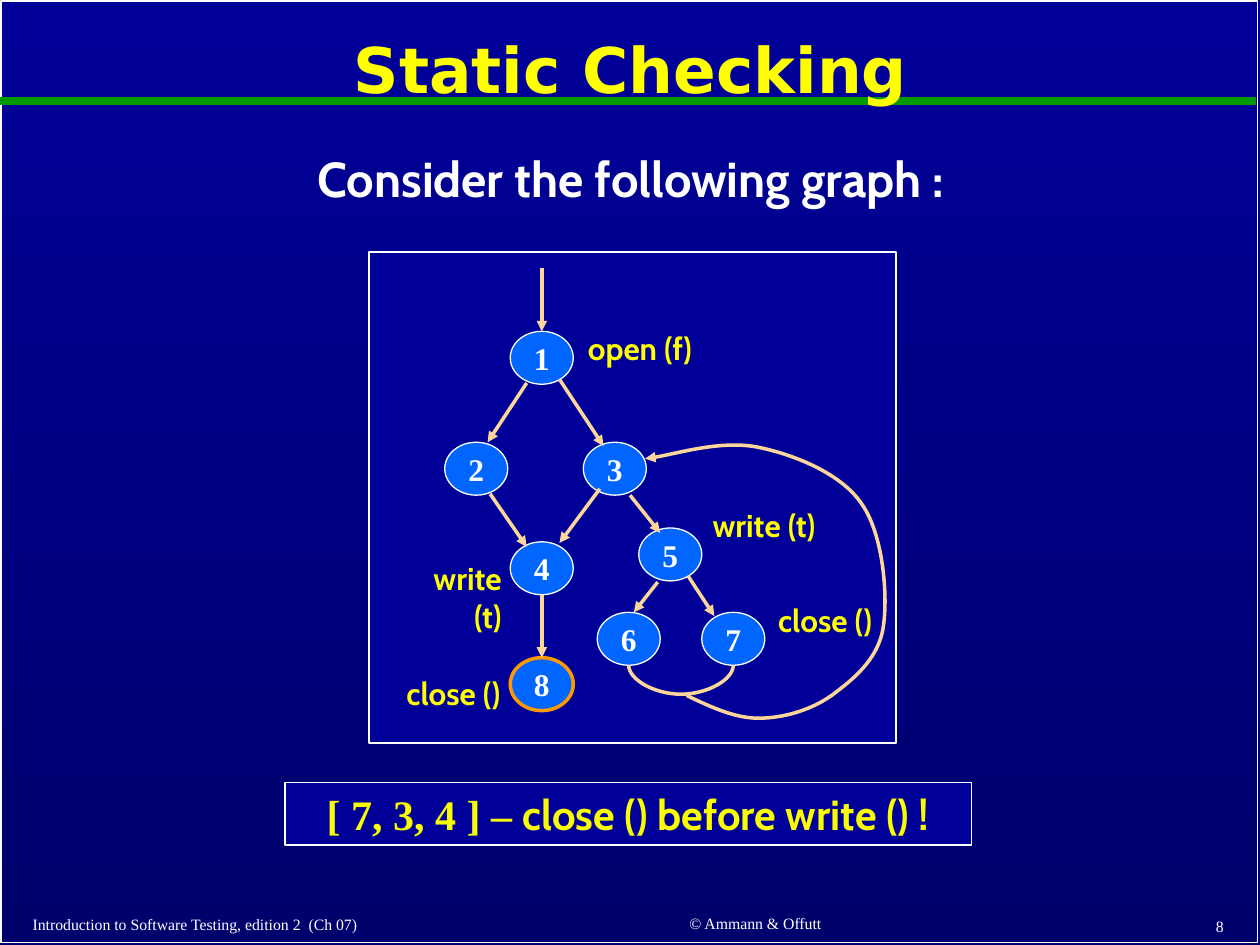
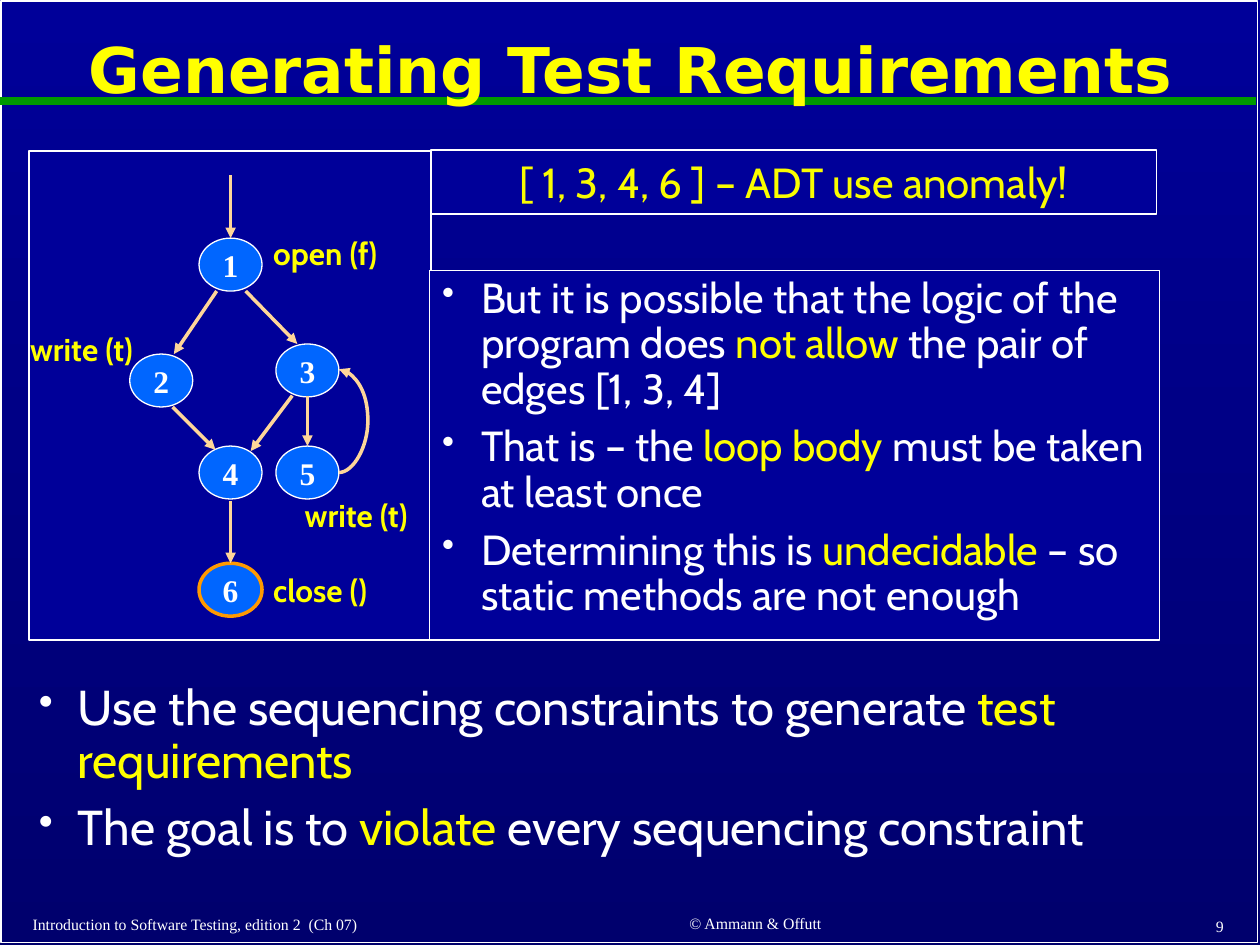
from dataclasses import dataclass

from lxml import etree
from pptx import Presentation
from pptx import util as u
from pptx.dml.color import RGBColor
from pptx.enum import shapes, text
from pptx.oxml import ns


@dataclass(frozen=True)
class Theme:
    sky: str = "000099"
    depth: str = "00006D"
    ink: str = "FFFFFF"
    accent: str = "FFFF00"
    verdict: str = "FAFD00"
    rule: str = "009900"
    node: str = "0066FF"
    final: str = "FF9900"
    edge: str = "FED699"
    heading: str = "DejaVu Sans"
    body: str = "Cabin"
    serif: str = "Times New Roman"


T = Theme()
LEFT, CENTER, RIGHT = text.PP_ALIGN.LEFT, text.PP_ALIGN.CENTER, text.PP_ALIGN.RIGHT

STYLES = {
    "title": dict(name=T.heading, size=36, color=T.accent, bold=True, align=CENTER, spacing=0.9, middle=True),
    "lead": dict(name=T.body, size=28, color=T.ink, bold=True, align=CENTER, spacing=0.9),
    "footer": dict(name=T.serif, size=9, color=T.ink, middle=True),
    "node": dict(name=T.serif, size=18, color=T.ink, bold=True, align=CENTER, middle=True, inset=0),
    "label": dict(name=T.body, size=18, color=T.accent, bold=True),
    "path": dict(name=T.serif, size=24, color=T.verdict, bold=True, align=CENTER, accent=dict(name=T.body)),
    "anomaly": dict(name=T.body, size=24, color=T.verdict, align=CENTER),
    "points": dict(name=T.body, size=24, color=T.ink, spacing=0.9, bullet=True, accent=dict(color=T.accent)),
    "goals": dict(name=T.body, size=28, color=T.ink, spacing=0.9, bullet=True, accent=dict(color=T.accent)),
}

BOOK = "Introduction to Software Testing, edition 2  (Ch 07)"
AUTHORS = "© Ammann & Offutt"
NODE_SIZE = (0.5, 0.42)


def bulge(start, end, dx, dy):
    (x1, y1), (x2, y2) = start, end
    mid = ((x1 + x2) / 2 + dx, (y1 + y2) / 2 + dy)

    def toward(x, y):
        half = (x + dx / 2, y + dy / 2)
        full = (x + dx, y + dy)
        return half, ((full[0] + mid[0]) / 2, (full[1] + mid[1]) / 2)

    leave, enter = toward(x1, y1), toward(x2, y2)
    return [start, *leave, mid, *reversed(enter), end]


SLIDES = [
    dict(
        number="8",
        title="Static Checking",
        graph=dict(
            frame=(2.93, 2, 4.18, 3.9),
            nodes={"1": (4.05, 2.63), "2": (3.53, 3.51), "3": (4.63, 3.51), "4": (4.05, 4.3),
                   "5": (5.07, 4.19), "6": (4.74, 4.86), "7": (5.57, 4.86), "8": (4.05, 5.22)},
            final="8",
            edges=[((4.3, 2.13), "1"), ((4.18, 3.04), (3.87, 3.51)), ((4.44, 3.01), (4.79, 3.54)),
                   ((3.89, 3.92), (4.18, 4.34)), ((4.76, 3.88), (4.44, 4.31)), ((5, 3.93), (5.24, 4.23)),
                   ((4.3, 4.72), "8"), ((5.22, 4.62), (5.03, 4.86)), ((5.46, 4.57), (5.67, 4.89))],
            curves=[
                (bulge((4.99, 5.28), (5.82, 5.28), 0, 0.23), False),
                ([(5.45, 5.52), (5.64, 5.61), (5.83, 5.7), (6.02, 5.7), (6.21, 5.7), (6.43, 5.64),
                  (6.6, 5.52), (6.76, 5.4), (6.97, 5.24), (7.01, 4.98), (7.05, 4.73), (7.01, 4.24),
                  (6.84, 4), (6.68, 3.76), (6.31, 3.61), (6.02, 3.55), (5.73, 3.49), (5.27, 3.63),
                  (5.12, 3.64)], True),
            ],
            label_align=RIGHT,
            labels=[("open (f)", (4.42, 2.56, 1.17, 0.4)), ("write (t)", (3.07, 4.39, 1.01, 0.71)),
                    ("write (t)", (5.42, 3.97, 1.15, 0.4)), ("close ()", (5.85, 4.72, 1.17, 0.4)),
                    ("close ()", (2.9, 5.3, 1.17, 0.4))],
        ),
        texts=[("lead", (0.39, 1.18, 9.23, 0.52), [["Consider the following graph :"]])],
        panels=[("path", (2.26, 6.21, 5.45, 0.5), 1, [["[ 7, 3, 4 ] – ", "close () before write () !"]])],
    ),
    dict(
        number="9",
        title="Generating Test Requirements",
        graph=dict(
            frame=(0.23, 1.2, 3.19, 3.88),
            nodes={"1": (1.58, 1.89), "2": (1.03, 2.81), "3": (2.19, 2.73),
                   "4": (1.58, 3.54), "5": (2.19, 3.54), "6": (1.58, 4.47)},
            final="6",
            edges=[((1.83, 1.39), "1"), ((1.72, 2.31), (1.38, 2.81)), ((1.95, 2.31), (2.36, 2.73)),
                   ((1.37, 3.23), (1.71, 3.57)), ((2.32, 3.14), (1.99, 3.58)), ((2.44, 3.14), "5"),
                   ((1.83, 3.98), "6")],
            curves=[(bulge((2.69, 3.75), (2.69, 2.93), 0.23, 0), True)],
            label_align=LEFT,
            labels=[("open (f)", (2.07, 1.81, 1.17, 0.4)), ("write (t)", (0.14, 2.57, 1.17, 0.4)),
                    ("write (t)", (2.32, 3.89, 1.17, 0.4)), ("close ()", (2.07, 4.48, 1.17, 0.4))],
        ),
        texts=[("goals", (0.21, 5.37, 9.52, 1.54), [
            ["Use the sequencing constraints to generate ", "test requirements"],
            ["The goal is to ", "violate", " every sequencing constraint"],
        ])],
        panels=[
            ("anomaly", (3.42, 1.19, 5.76, 0.51), 1, [["[ 1, 3, 4, 6 ] – ADT use anomaly!"]]),
            ("points", (3.41, 2.15, 5.79, 2.93), 0.75, [
                ["But it is possible that the logic of the program does ", "not allow ",
                 "the pair of edges [1, 3, 4]"],
                ["That is – the ", "loop body", " must be taken at least once"],
                ["Determining this is ", "undecidable", " – so static methods are not enough"],
            ]),
        ],
    ),
]


def inches(values):
    return [u.Inches(v) for v in values]


def rgb(value):
    return RGBColor.from_string(value)


def add_xml(parent, tag, **attributes):
    return etree.SubElement(parent, ns.qn(tag), attributes)


def apply(target, values):
    for attribute, value in values.items():
        setattr(target, attribute, value)


def write(holder, style_name, paragraphs, **changes):
    style = {**STYLES[style_name], **changes}
    frame = holder.text_frame
    inset = style.get("inset")
    margins = (0.1, 0.05, 0.1, 0.05) if inset is None else (inset,) * 4
    sides = ("margin_left", "margin_top", "margin_right", "margin_bottom")
    anchor = text.MSO_ANCHOR.MIDDLE if style.get("middle") else text.MSO_ANCHOR.TOP
    apply(frame, dict(zip(sides, inches(margins)), word_wrap=inset is None, vertical_anchor=anchor))
    for index, pieces in enumerate(paragraphs):
        paragraph = frame.add_paragraph() if index else frame.paragraphs[0]
        apply(paragraph, dict(alignment=style.get("align", LEFT), line_spacing=style.get("spacing", 1.0)))
        if index:
            paragraph.space_before = u.Pt(0.3 * style["size"])
        if style.get("bullet"):
            properties = paragraph._p.get_or_add_pPr()
            indent = u.Inches(0.31)
            properties.set("marL", str(indent))
            properties.set("indent", str(-indent))
            add_xml(properties, "a:buSzPct", val="85000")
            add_xml(properties, "a:buChar", char="•")
        for position, piece in enumerate(pieces):
            look = {**style, **(style["accent"] if position % 2 else {})}
            run = paragraph.add_run()
            run.text = piece
            apply(run.font, dict(name=look["name"], size=u.Pt(look["size"]), bold=look.get("bold", False)))
            run.font.color.rgb = rgb(look["color"])


def add_text(slide, style_name, place, paragraphs, **changes):
    write(slide.shapes.add_textbox(*inches(place)), style_name, paragraphs, **changes)


def stroke(shape, color, width, arrow=False):
    shape.line.color.rgb = rgb(color)
    shape.line.width = u.Pt(width)
    if arrow:
        add_xml(shape.line._ln, "a:tailEnd", type="triangle")


def add_panel(slide, kind, place, fill, line, width):
    panel = slide.shapes.add_shape(kind, *inches(place))
    panel.shadow.inherit = False
    if fill:
        panel.fill.solid()
        panel.fill.fore_color.rgb = rgb(fill)
    else:
        panel.fill.background()
    stroke(panel, line, width)
    return panel


def add_line(slide, start, end, color, width, arrow=False):
    line = slide.shapes.add_connector(shapes.MSO_CONNECTOR.STRAIGHT, *inches((*start, *end)))
    stroke(line, color, width, arrow)
    add_xml(line._element.spPr, "a:effectLst")
    return line


def add_curve(slide, points, arrow):
    start, *rest = [inches(point) for point in points]
    builder = slide.shapes.build_freeform(*start)
    builder.add_line_segments(rest, close=False)
    curve = builder.convert_to_shape()
    curve.shadow.inherit = False
    curve.fill.background()
    stroke(curve, T.edge, 2, arrow)
    segments = list(curve._element.iter(ns.qn("a:lnTo")))
    outline = segments[0].getparent()
    for first in range(0, len(segments), 3):
        bezier = add_xml(outline, "a:cubicBezTo")
        for segment in segments[first:first + 3]:
            bezier.append(segment[0])
            outline.remove(segment)


def draw_graph(slide, graph):
    add_panel(slide, shapes.MSO_SHAPE.RECTANGLE, graph["frame"], T.sky, T.ink, 1)
    nodes = {}
    for name, corner in graph["nodes"].items():
        line, width = (T.final, 2) if name == graph["final"] else (T.ink, 0.75)
        nodes[name] = add_panel(slide, shapes.MSO_SHAPE.OVAL, (*corner, *NODE_SIZE), T.node, line, width)
        write(nodes[name], "node", [[name]])
    for start, target in graph["edges"]:
        joined = target in nodes
        edge = add_line(slide, start, start if joined else target, T.edge, 2, arrow=True)
        if joined:
            edge.end_connect(nodes[target], 0)
    for points, arrow in graph["curves"]:
        add_curve(slide, points, arrow)
    for label, place in graph["labels"]:
        add_text(slide, "label", place, [[label]], align=graph["label_align"])


def add_base(prs, title, number):
    slide = prs.slides.add_slide(prs.slide_layouts[6])
    backdrop = slide.background.fill
    backdrop.gradient()
    backdrop.gradient_angle = 270
    for stop, color in zip(backdrop.gradient_stops, (T.sky, T.depth)):
        stop.color.rgb = rgb(color)
    add_panel(slide, shapes.MSO_SHAPE.RECTANGLE, (0.01, 0.01, 9.97, 7.47), None, T.ink, 1)
    add_line(slide, (0, 0.8), (9.97, 0.8), T.rule, 4.5)
    add_text(slide, "title", (0.15, 0.11, 9.71, 0.94), [[title]])
    add_text(slide, "footer", (0.16, 7.22, 4.09, 0.23), [[BOOK]])
    add_text(slide, "footer", (4.41, 7.21, 3.17, 0.23), [[AUTHORS]], align=CENTER)
    add_text(slide, "footer", (7.73, 7.23, 2.08, 0.24), [[number]], align=RIGHT)
    return slide


def main():
    prs = Presentation()
    apply(prs, dict(slide_width=u.Inches(10), slide_height=u.Inches(7.5)))
    for content in SLIDES:
        slide = add_base(prs, content["title"], content["number"])
        draw_graph(slide, content["graph"])
        for style_name, place, paragraphs in content["texts"]:
            add_text(slide, style_name, place, paragraphs)
        for style_name, place, width, paragraphs in content["panels"]:
            panel = add_panel(slide, shapes.MSO_SHAPE.RECTANGLE, place, T.sky, T.ink, width)
            write(panel, style_name, paragraphs)
    prs.save("out.pptx")


if __name__ == "__main__":
    main()
